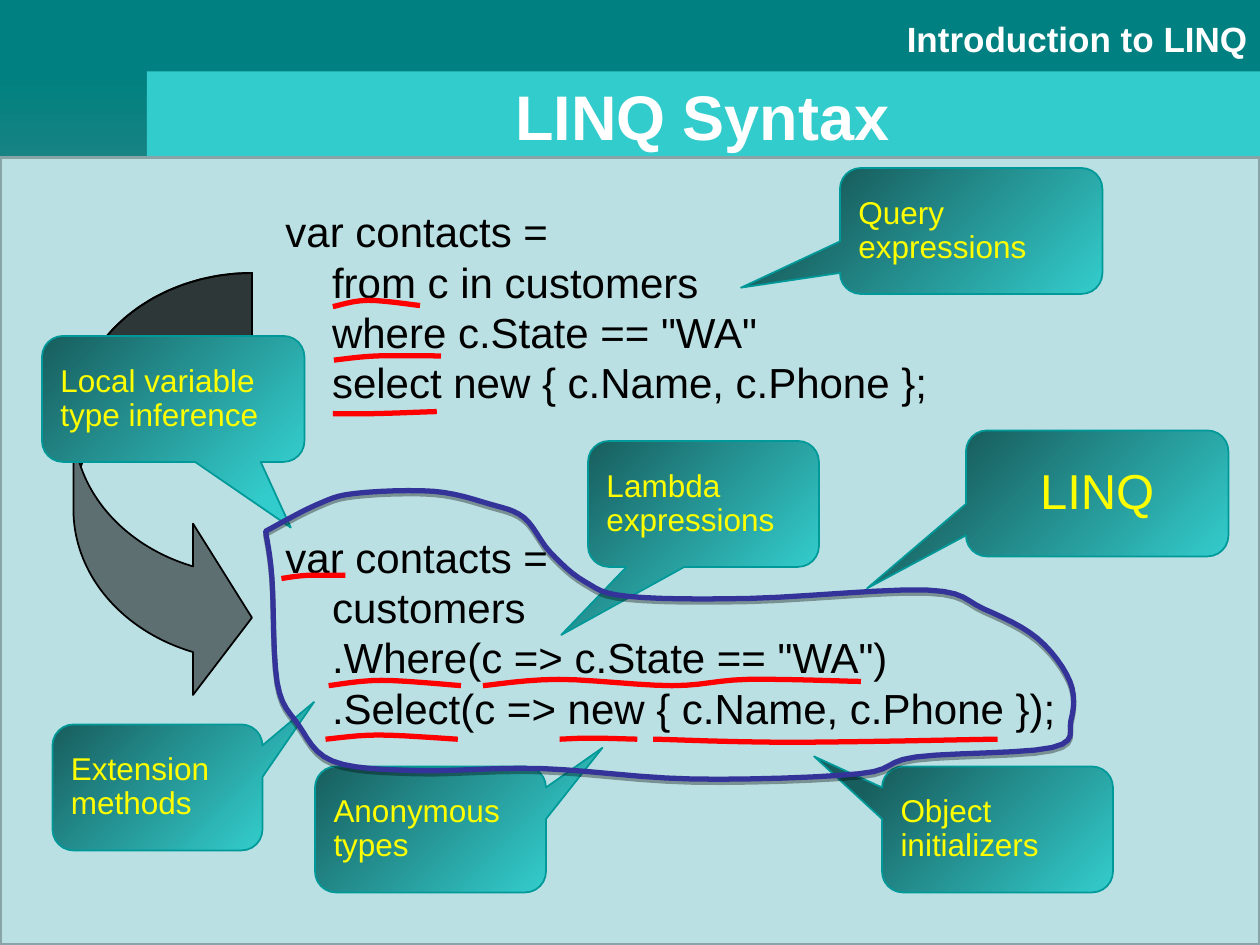
"""Build the LINQ Syntax slide: two code samples, callouts and pen marks."""
from math import cos, pi, sin
from lxml.etree import SubElement
from pptx import Presentation
from pptx.dml.color import RGBColor
from pptx.enum.shapes import MSO_SHAPE
from pptx.enum.text import MSO_ANCHOR, PP_ALIGN
from pptx.oxml.ns import qn
from pptx.util import Inches, Pt

COLORS = {
    "teal": "008080", "shade": "178383", "bar": "33CCCC", "panel": "BBE0E3",
    "rim": "89A4A7", "deep": "185E5E", "edge": "009999", "black": "000000",
    "white": "FFFFFF", "yellow": "FFFF00", "red": "FF0000", "navy": "333399",
}
UNIT = 1 / 12
COLS, ROWS = 120, 90
HEAD, SIDE, TOP = 6.8, 14, 15
PITCH = 5.1
INDENT = 0.37

CODE = [
    {"left": 26, "top": 19, "wide": 64,
     "lines": ["var contacts =", "from c in customers",
               'where c.State == "WA"', "select new { c.Name, c.Phone };"],
     "marks": [{"word": "from", "left": 31.7, "wide": 8.3, "bow": 0.6, "rise": 0.1},
               {"word": "where", "left": 31.8, "wide": 10.2, "bow": 0.4, "rise": 0.4},
               {"word": "select", "left": 31.7, "wide": 9.9, "rise": 0.2}]},
    {"left": 26, "top": 50, "wide": 76,
     "lines": ["var contacts =", "customers", '.Where(c => c.State == "WA")',
               ".Select(c => new { c.Name, c.Phone });"],
     "marks": [{"word": "var", "left": 26.8, "wide": 6.1, "bow": 0.3, "rise": 0.3},
               {"word": ".Where", "left": 31.3, "wide": 12.6, "bow": 0.5},
               {"word": "c => c.State", "left": 46, "wide": 36, "bow": 0.6,
                "rise": 0.4, "waves": 2},
               {"word": ".Select", "left": 31, "wide": 12.6, "bow": 0.4},
               {"word": "new", "left": 53.3, "wide": 7.4, "bow": 0.1},
               {"word": "{ c.Name", "left": 62.2, "wide": 32.8, "bow": -0.3}]},
]

CALLS = [
    ("Extension methods", 5, 69, 20, (0.746, -0.679)),
    ("Lambda expressions", 56, 42, 22, (-0.616, 1.04)),
    ("Query expressions", 80, 16, 25, (-0.877, 0.45)),
    ("Object initializers", 84, 73, 22, (-0.794, -0.58)),
    ("Anonymous types", 30, 73, 22, (0.744, -0.648)),
    ("Local variable type inference", 4, 32, 25, (0.448, 1.021)),
]
TOPIC = ("LINQ", 92, 41, 25, (-0.877, 0.754))

LOOP = {
    "left": [(25.3, 50.6), (25.9, 55), (26.4, 65), (28.4, 69), (31.7, 72.5)],
    "base": [(39.6, 73.4), (51.5, 73.2), (66, 74.2), (81.8, 73.7), (87.2, 72.1)],
    "right": [(100.2, 71.2), (102, 68.6), (101.9, 64.9), (98.8, 60.8)],
    "roof": [(93.7, 58), (88.3, 56.2), (71.4, 57), (59.8, 56.8), (55.7, 55.4)],
    "dome": [(52.4, 52.6), (49.9, 49.3), (46.6, 48), (41.3, 46.8), (33.8, 47),
             (30.1, 48.1)],
}


def rgb(name):
    return RGBColor.from_string(COLORS[name])


def place(*cells):
    return [Inches(cell * UNIT) for cell in cells]


def paint(shape, fill=None, line=None, width=1, angle=None, alpha=None):
    shape.shadow.inherit = False
    if angle is not None:
        shape.fill.gradient()
        shape.fill.gradient_angle = angle
        for stop, name in zip(shape.fill.gradient_stops, fill):
            stop.color.rgb = rgb(name)
    elif fill:
        shape.fill.solid()
        shape.fill.fore_color.rgb = rgb(fill)
    else:
        shape.fill.background()
    if alpha:
        tone = shape._element.spPr.find(qn("a:solidFill"))[0]
        SubElement(tone, qn("a:alpha"), val=str(alpha * 1000))
    if line:
        shape.line.color.rgb = rgb(line)
        shape.line.width = Pt(width)
    else:
        shape.line.fill.background()
    return shape


def write(shape, text, size=18, color="black", bold=False, align=PP_ALIGN.LEFT,
          anchor=MSO_ANCHOR.TOP, space=1.0, wrap=True, indent=0):
    frame = shape.text_frame
    frame.word_wrap = wrap
    frame.vertical_anchor = anchor
    frame.text = text
    for row, para in enumerate(frame.paragraphs):
        para.alignment = align
        para.line_spacing = space
        if row and indent:
            para._p.get_or_add_pPr().set("marL", str(Inches(indent)))
        for run in para.runs:
            run.font.name = "Arial"
            run.font.size = Pt(size)
            run.font.bold = bold
            run.font.color.rgb = rgb(color)


def smooth(knots, steps=6):
    """Return points of a Catmull-Rom curve that passes through every knot."""
    ends = [knots[0], *knots, knots[-1]]
    out = [knots[0]]
    for a, b, c, d in zip(ends, ends[1:], ends[2:], ends[3:]):
        for t in (n / steps for n in range(1, steps + 1)):
            out.append(tuple(
                q + t / 2 * (r - p + t * (2 * p - 5 * q + 4 * r - s
                                          + t * (3 * q - p - 3 * r + s)))
                for p, q, r, s in zip(a, b, c, d)))
    return out


def sketch(shapes, points, close=False, **look):
    fine = 1000
    spots = [(x * fine, y * fine) for x, y in points]
    pen = shapes.build_freeform(*spots[0], scale=Inches(UNIT) / fine)
    pen.add_line_segments(spots[1:], close=close)
    return paint(pen.convert_to_shape(), **look)


def block(shapes, cells, fill, **look):
    return paint(shapes.add_shape(MSO_SHAPE.RECTANGLE, *place(*cells)), fill, **look)


def call(shapes, text, left, top, wide, tip, size=18, align=PP_ALIGN.LEFT):
    shape = shapes.add_shape(MSO_SHAPE.ROUNDED_RECTANGULAR_CALLOUT,
                             *place(left, top, wide, 12))
    shape.adjustments[0], shape.adjustments[1] = tip
    paint(shape, ("deep", "bar"), "edge", angle=315)
    write(shape, text, size=size, color="yellow", align=align,
          anchor=MSO_ANCHOR.MIDDLE, space=0.9)


def mark(shapes, code, word, left, wide, bow=0, rise=0, waves=1):
    """Underline a word of a code sample with a slightly wavy pen stroke."""
    row = next(k for k, line in enumerate(code["lines"]) if word in line)
    base = code["top"] + PITCH * (row + 1)
    knots = [(left, base)]
    for k in range(waves):
        knots += [(left + wide * (k + 0.4) / waves, base - bow),
                  (left + wide * (k + 1) / waves, base)]
    knots[-1] = (left + wide, base - rise)
    sketch(shapes, smooth(knots), line="red", width=3)


def bend(shapes, left, top, wide, high):
    """Draw the curved arrow and the darker back of its bend."""
    arrow = shapes.add_shape(MSO_SHAPE.CURVED_RIGHT_ARROW, *place(left, top, wide, high))
    for k, share in enumerate((0.48, 0.96, 0.33)):
        arrow.adjustments[k] = share
    paint(arrow, "black", "black", alpha=50)
    drop, thick = high * 0.35, wide * 0.48
    turn = [pi / 2 * n / 16 for n in range(17)]
    outer = [(left + wide * (1 - sin(a)), top + drop * (1 - cos(a))) for a in turn]
    inner = [(x, y + thick * cos(a)) for (x, y), a in zip(outer, turn)]
    sketch(shapes, outer + inner[::-1], close=True, fill="black", line="black", alpha=50)


def ring(shapes):
    """Circle the second sample by hand, with a soft shadow below the line."""
    knots = [knot for side in LOOP.values() for knot in side]
    shape = sketch(shapes, smooth(knots + knots[:1]), line="navy", width=3)
    effect = shape._element.spPr.find(qn("a:effectLst"))
    cast = SubElement(effect, qn("a:outerShdw"), blurRad="0", dist=str(Pt(1.8)),
                      dir="5400000", rotWithShape="0")
    tone = SubElement(cast, qn("a:srgbClr"), val=COLORS["black"])
    SubElement(tone, qn("a:alpha"), val="35000")


def main():
    deck = Presentation()
    deck.slide_width, deck.slide_height = place(COLS, ROWS)
    shapes = deck.slides.add_slide(deck.slide_layouts[6]).shapes

    block(shapes, (0, 0, COLS, HEAD + 0.2), "teal")
    write(shapes.add_textbox(*place(SIDE, 1.1, COLS - SIDE, 5.3)), "Introduction to LINQ",
          size=20, color="white", bold=True, align=PP_ALIGN.RIGHT)
    block(shapes, (0, HEAD, SIDE, TOP - HEAD), ("teal", "shade"), angle=270)
    block(shapes, (SIDE, HEAD, COLS - SIDE, TOP - HEAD), "bar")
    write(block(shapes, (15.4, 8, 103, 6), "bar"), "LINQ Syntax", size=36, color="white",
          bold=True, align=PP_ALIGN.CENTER, anchor=MSO_ANCHOR.MIDDLE)
    block(shapes, (0, TOP, COLS, ROWS - TOP), "panel", line="rim", width=2)

    for code in CODE:
        box = shapes.add_textbox(*place(code["left"], code["top"], code["wide"], 4 * PITCH))
        write(box, "\n".join(code["lines"]), size=24, wrap=False, indent=INDENT)
        for item in code["marks"]:
            mark(shapes, code, **item)

    bend(shapes, 7, 26, 17, 41)
    for item in CALLS:
        call(shapes, *item)
    ring(shapes)
    call(shapes, *TOPIC, size=28, align=PP_ALIGN.CENTER)
    deck.save("out.pptx")


if __name__ == "__main__":
    main()
